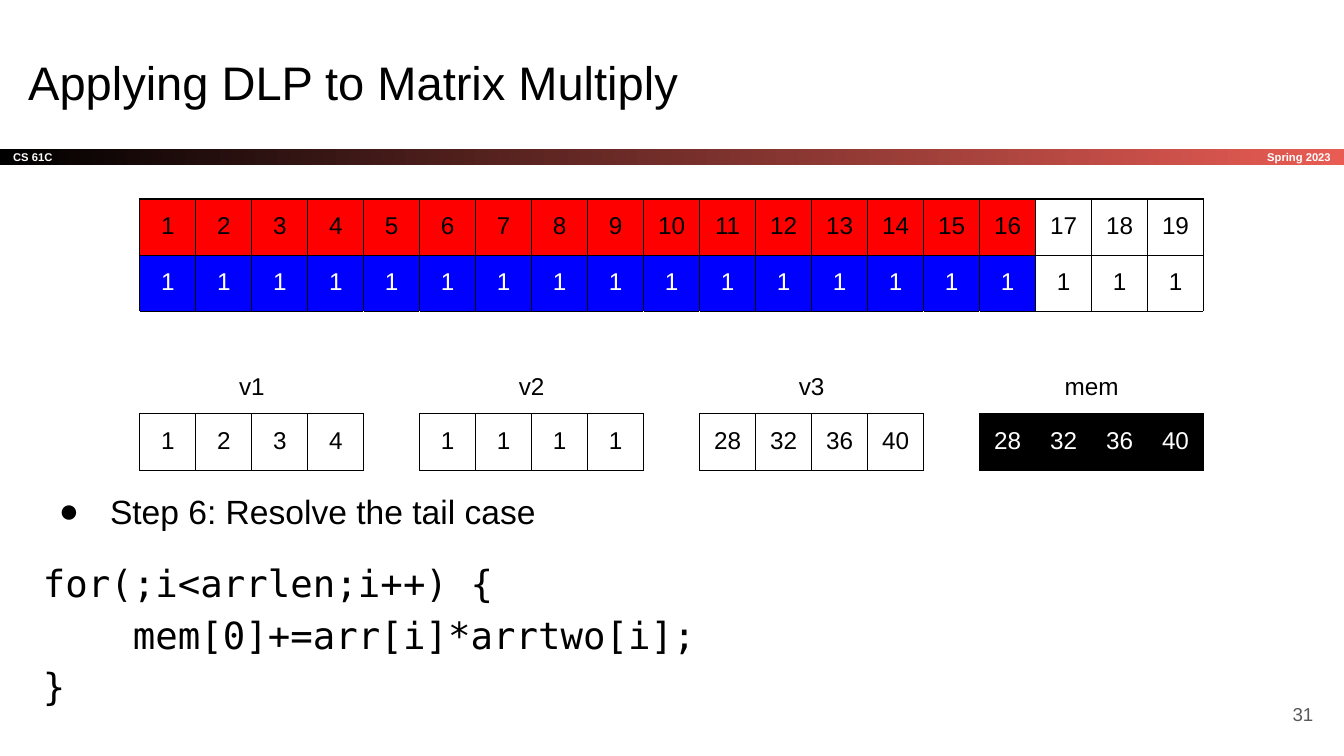
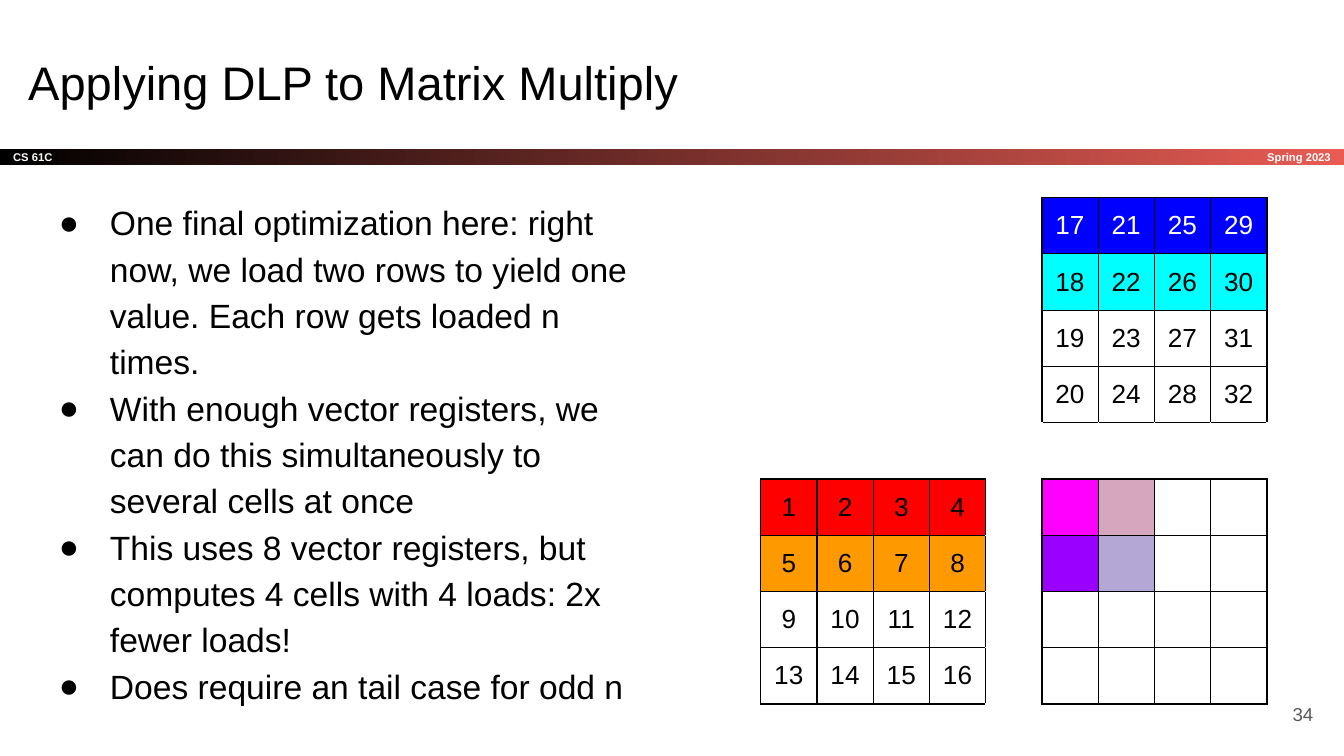
"""Build two slides on applying data-level parallelism to matrix multiply."""
import dataclasses

import lxml.etree
import pptx
import pptx.dml.color
import pptx.enum.shapes
import pptx.enum.text
import pptx.oxml.ns
import pptx.util

Inches = pptx.util.Inches
Pt = pptx.util.Pt
RGBColor = pptx.dml.color.RGBColor
ALIGN = pptx.enum.text.PP_ALIGN
ANCHOR = pptx.enum.text.MSO_ANCHOR
qn = pptx.oxml.ns.qn

BLACK = RGBColor(0x00, 0x00, 0x00)
WHITE = RGBColor(0xFF, 0xFF, 0xFF)
GREY = RGBColor(0x59, 0x59, 0x59)
CORAL = RGBColor(0xE8, 0x5C, 0x54)
RED = RGBColor(0xFF, 0x00, 0x00)
ORANGE = RGBColor(0xFF, 0x99, 0x00)
BLUE = RGBColor(0x00, 0x00, 0xFF)
CYAN = RGBColor(0x00, 0xFF, 0xFF)
MAGENTA = RGBColor(0xFF, 0x00, 0xFF)
PINK = RGBColor(0xD5, 0xA6, 0xBD)
VIOLET = RGBColor(0x99, 0x00, 0xFF)
LAVENDER = RGBColor(0xB4, 0xA7, 0xD6)

SANS = "Arial"
MONO = "DejaVu Sans Mono"
TITLE = "Applying DLP to Matrix Multiply"


@dataclasses.dataclass(frozen=True)
class Cell:
    text: str = ""
    fill: RGBColor = WHITE
    color: RGBColor = BLACK
    boxed: bool = True
    span: int = 1


GAP = Cell(boxed=False)


def cells(values, fill=WHITE, color=BLACK):
    return [Cell(str(v), fill, color) for v in values]


def label(text):
    return [Cell(text, boxed=False, span=4)] + [GAP] * 3


def join(groups):
    row = list(groups[0])
    for group in groups[1:]:
        row += [GAP] + group
    return row


class Deck:
    def __init__(self):
        self.prs = pptx.Presentation()
        self.prs.slide_width = Inches(10)
        self.prs.slide_height = Inches(10) * 9 // 16
        self.s = None

    def slide(self, title, number):
        self.s = self.prs.slides.add_slide(self.prs.slide_layouts[5])
        self.band()
        sp = self.s.shapes.title
        sp.left, sp.top = Inches(0.11), Inches(0.3)
        sp.width, sp.height = Inches(9.32), Inches(0.63)
        p = self.frame(sp).paragraphs[0]
        p.alignment = ALIGN.LEFT
        self.run(p, title, 25.2)
        self.line(9.27, 5.1, 0.6, 0.43, str(number), 10, GREY)

    def band(self):
        sp = self.s.shapes.add_shape(
            pptx.enum.shapes.MSO_SHAPE.RECTANGLE,
            Inches(0), Inches(1.11), Inches(10), Inches(0.12))
        sp.shadow.inherit = False
        sp.line.fill.background()
        sp.fill.gradient()
        sp.fill.gradient_angle = 0
        for stop, color in zip(sp.fill.gradient_stops, (BLACK, CORAL)):
            stop.color.rgb = color
        p = self.frame(sp, ANCHOR.MIDDLE).paragraphs[0]
        p.alignment = ALIGN.LEFT
        self.run(p, "CS 61C", 6, WHITE, bold=True)
        self.line(8.34, 1.11, 1.66, 0.12, "Spring 2023", 6, WHITE, True)

    def frame(self, sp, anchor=ANCHOR.TOP):
        tf = sp.text_frame
        tf.word_wrap = True
        tf.auto_size = pptx.enum.text.MSO_AUTO_SIZE.NONE
        tf.vertical_anchor = anchor
        tf.margin_left = tf.margin_right = Inches(0.1)
        tf.margin_top = tf.margin_bottom = Inches(0.1)
        return tf

    def run(self, p, text, size, color=BLACK, font=SANS, bold=False):
        r = p.add_run()
        r.text = text
        r.font.size = Pt(size)
        r.font.name = font
        r.font.bold = bold
        r.font.color.rgb = color

    def box(self, left, top, width, height, anchor=ANCHOR.TOP):
        sp = self.s.shapes.add_textbox(
            Inches(left), Inches(top), Inches(width), Inches(height))
        return self.frame(sp, anchor)

    def line(self, left, top, width, height, text, size, color, bold=False):
        p = self.box(left, top, width, height, ANCHOR.MIDDLE).paragraphs[0]
        p.alignment = ALIGN.RIGHT
        self.run(p, text, size, color, bold=bold)

    def bullets(self, left, top, width, height, items):
        tf = self.box(left, top, width, height)
        for i, item in enumerate(items):
            p = tf.add_paragraph() if i else tf.paragraphs[0]
            p.line_spacing = 1.15
            pPr = p._p.get_or_add_pPr()
            pPr.set("marL", str(Inches(0.5)))
            pPr.set("indent", str(Inches(-0.38)))
            color = lxml.etree.SubElement(pPr, qn("a:buClr"))
            lxml.etree.SubElement(color, qn("a:srgbClr"), val=str(BLACK))
            lxml.etree.SubElement(pPr, qn("a:buSzPts"), val="1800")
            lxml.etree.SubElement(pPr, qn("a:buFont"), typeface=SANS)
            lxml.etree.SubElement(pPr, qn("a:buChar"), char="●")
            self.run(p, item, 18)
        return tf

    def code(self, tf, lines):
        p = tf.add_paragraph()
        p.line_spacing = 1.15
        p.space_before = p.space_after = Pt(12)
        for i, text in enumerate(lines):
            if i:
                p.add_line_break()
            self.run(p, text, 20, font=MONO)

    def border(self, cell, side, color):
        ln = lxml.etree.SubElement(
            cell._tc.get_or_add_tcPr(), qn("a:ln" + side), w=str(Pt(0.75)))
        fill = lxml.etree.SubElement(ln, qn("a:solidFill"))
        lxml.etree.SubElement(fill, qn("a:srgbClr"), val=str(color))

    def table(self, left, top, width, grid, size, heights):
        n_rows, n_cols = len(grid), len(grid[0])
        table = self.s.shapes.add_table(
            n_rows, n_cols, Inches(left), Inches(top),
            Inches(width), Inches(sum(heights))).table
        table.first_row = table.horz_banding = False
        for col in table.columns:
            col.width = Inches(width / n_cols)
        for row, height in zip(table.rows, heights):
            row.height = Inches(height)

        def boxed(i, j):
            return 0 <= i < n_rows and 0 <= j < n_cols and grid[i][j].boxed

        for i, row in enumerate(grid):
            for j, item in enumerate(row):
                cell = table.cell(i, j)
                sides = {"L": (i, j - 1), "R": (i, j + 1),
                         "T": (i - 1, j), "B": (i + 1, j)}
                for side, neighbour in sides.items():
                    edge = item.boxed or boxed(*neighbour)
                    self.border(cell, side, BLACK if edge else WHITE)
                cell.fill.solid()
                cell.fill.fore_color.rgb = item.fill
                cell.margin_left = cell.margin_right = Inches(0.1)
                inset = Inches(0.1 if item.text else 0)
                cell.margin_top = cell.margin_bottom = inset
                if item.span > 1:
                    cell.merge(table.cell(i, j + item.span - 1))
                    cell.vertical_anchor = ANCHOR.BOTTOM
                if item.text:
                    p = cell.text_frame.paragraphs[0]
                    p.alignment = ALIGN.CENTER
                    self.run(p, item.text, size, item.color)


def tail_case(deck):
    deck.slide(TITLE, 31)
    tf = deck.bullets(0.22, 3.51, 9.32, 1.97, ["Step 6: Resolve the tail case"])
    deck.code(tf, ["for(;i<arrlen;i++) {", "    mem[0]+=arr[i]*arrtwo[i];", "}"])
    sums = [28, 32, 36, 40]
    grid = [
        cells(range(1, 17), RED) + cells(range(17, 20)),
        cells([1] * 16, BLUE, WHITE) + cells([1] * 3),
        join([label(name) for name in ("v1", "v2", "v3", "mem")]),
        join([cells(range(1, 5)), cells([1] * 4), cells(sums),
              cells(sums, BLACK, WHITE)]),
    ]
    deck.table(1.04, 1.48, 7.92, grid, 13, [0.42, 0.42, 0.76, 0.42])


def final_optimization(deck):
    deck.slide(TITLE, 34)
    deck.bullets(0.22, 1.36, 4.64, 4.12, [
        "One final optimization here: right now, we load two rows to yield "
        "one value. Each row gets loaded n times.",
        "With enough vector registers, we can do this simultaneously to "
        "several cells at once",
        "This uses 8 vector registers, but computes 4 cells with 4 loads: "
        "2x fewer loads!",
        "Does require an tail case for odd n",
    ])
    right_styles = [(BLUE, WHITE), (CYAN, BLACK), (WHITE, BLACK), (WHITE, BLACK)]
    left_fills = [RED, ORANGE, WHITE, WHITE]
    products = [[MAGENTA, PINK], [VIOLET, LAVENDER], [WHITE] * 2, [WHITE] * 2]
    grid = [[GAP] * 5 + cells(range(17 + i, 33, 4), *style)
            for i, style in enumerate(right_styles)]
    grid.append([GAP] * 9)
    for i, (fill, product) in enumerate(zip(left_fills, products)):
        result = [Cell(fill=c) for c in product + [WHITE] * 2]
        grid.append(join([cells(range(4 * i + 1, 4 * i + 5), fill), result]))
    deck.table(5.66, 1.47, 3.77, grid, 14, [3.76 / 9] * 9)


def main():
    deck = Deck()
    tail_case(deck)
    final_optimization(deck)
    deck.prs.save("out.pptx")


if __name__ == "__main__":
    main()
